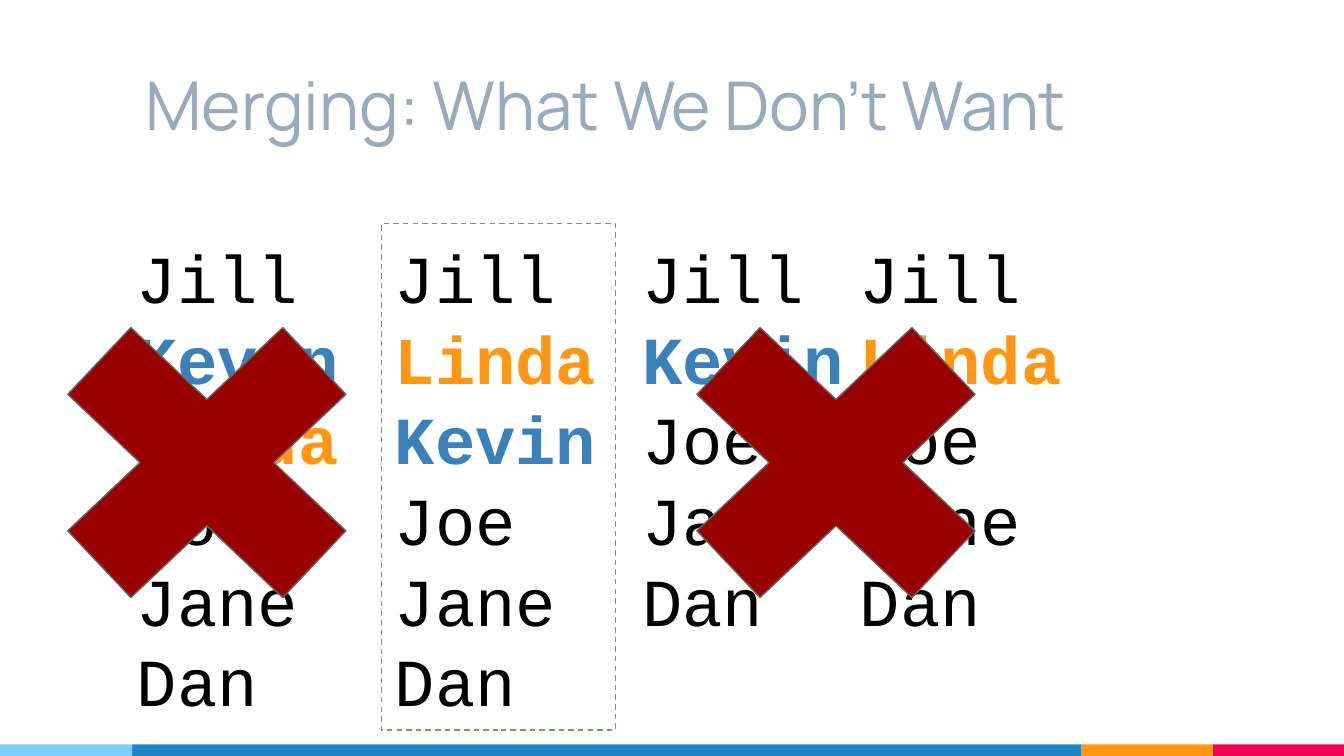
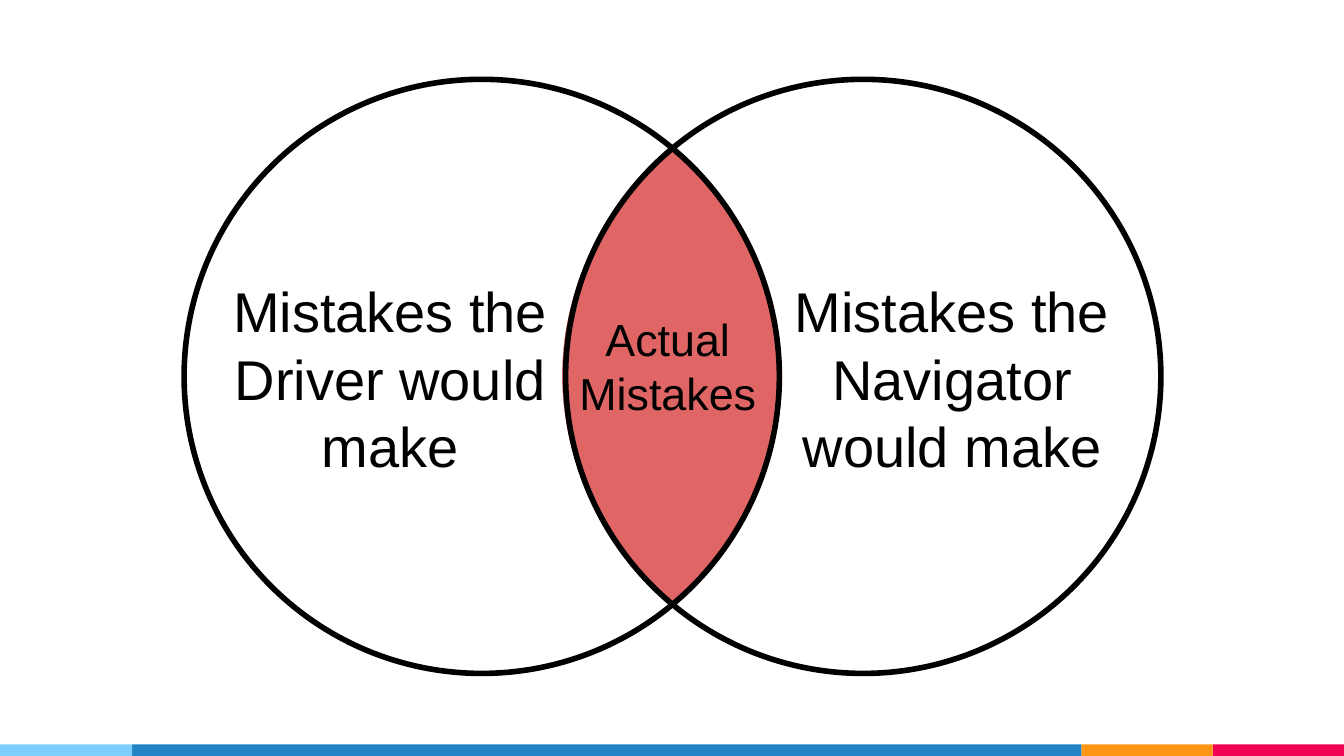
from pptx import Presentation
from pptx.dml.color import RGBColor
from pptx.enum import dml, shapes, text
from pptx.util import Cm, Pt

BLACK = RGBColor(0x00, 0x00, 0x00)
WHITE = RGBColor(0xFF, 0xFF, 0xFF)
SKY = RGBColor(0x7E, 0xCE, 0xFD)
BLUE = RGBColor(0x21, 0x85, 0xC5)
ORANGE = RGBColor(0xFF, 0x97, 0x15)
PINK = RGBColor(0xF2, 0x02, 0x53)
SLATE = RGBColor(0x97, 0xAB, 0xBC)
STEEL = RGBColor(0x3A, 0x81, 0xBA)
GREEN = RGBColor(0x6A, 0xA8, 0x4F)
MAROON = RGBColor(0x99, 0x00, 0x00)
GRAY = RGBColor(0x66, 0x66, 0x66)
CORAL = RGBColor(0xE0, 0x66, 0x66)

KIND = shapes.MSO_SHAPE
ALIGN = text.PP_ALIGN
ANCHOR = text.MSO_ANCHOR
WIDE, HIGH = 25.4, 14.29
TINTS = {"Kevin": STEEL, "Linda": ORANGE}


def draw(parent, kind, box, fill=None, line=None, width=0.75):
    """Add a preset shape, with sizes in centimetres."""
    shape = parent.add_shape(kind, *map(Cm, box))
    shape.shadow.inherit = False
    if fill is None:
        shape.fill.background()
    else:
        shape.fill.solid()
        shape.fill.fore_color.rgb = fill
    if line is None:
        shape.line.fill.background()
    else:
        shape.line.color.rgb = line
        shape.line.width = Pt(width)
    return shape


def frame(shape, anchor):
    """Set even insets, wrapping and anchor, and return the text frame."""
    body = shape.text_frame
    body.word_wrap = True
    body.auto_size = text.MSO_AUTO_SIZE.NONE
    body.vertical_anchor = anchor
    body.margin_left = body.margin_right = Cm(0.25)
    body.margin_top = body.margin_bottom = Cm(0.25)
    return body


def style(para, face, size, tint=BLACK, bold=False, align=ALIGN.LEFT):
    """Format a whole paragraph."""
    para.alignment = align
    para.font.name = face
    para.font.size = Pt(size)
    para.font.color.rgb = tint
    para.font.bold = bold


def bands(deck):
    """Lay the coloured bottom strip on the slide master."""
    slide = deck.slides.add_slide(deck.slide_layouts[5])
    tree = deck.slide_master.shapes.element
    left, tall = 0, 0.22
    for span, tint in ((2.5, SKY), (17.94, BLUE), (2.48, ORANGE), (2.48, PINK)):
        band = draw(slide.shapes, KIND.RECTANGLE,
                    (left, HIGH - tall, span, tall), tint)
        tree.insert(2, band.element)
        left += span
    return slide


def title(slide, words, box):
    """Fill and place the title."""
    shape = slide.shapes.title
    shape.left, shape.top, shape.width, shape.height = map(Cm, box)
    body = frame(shape, ANCHOR.BOTTOM)
    body.text = words
    style(body.paragraphs[0], "Manrope", 36, SLATE)


def names(shape, words):
    """Write one merged list of names."""
    body = frame(shape, ANCHOR.TOP)
    body.text = "\n".join(words.split())
    for para in body.paragraphs:
        tint = TINTS.get(para.text, BLACK)
        style(para, "Courier New", 36, tint, para.text in TINTS)


def merge(slide, left, top):
    """Show four merge results, one framed and the rest crossed out."""
    span, tall = 4.42, 7.37
    for step, words in ((0, "Jill Kevin Linda Joe Jane Dan"),
                        (13.66, "Jill Linda Joe Jane Dan"),
                        (9.55, "Jill Kevin Joe Jane Dan")):
        box = (left + step, top, span, tall)
        names(slide.shapes.add_textbox(*map(Cm, box)), words)
    pick = draw(slide.shapes, KIND.RECTANGLE,
                (left + 4.87, top, span, 9.58), line=GREEN)
    pick.line.dash_style = dml.MSO_LINE.DASH
    names(pick, "Jill Linda Kevin Joe Jane Dan")
    for step in (9.55, -2.34):
        cross = draw(slide.shapes, KIND.MATH_MULTIPLY,
                     (left + step, top + 0.83, 7.82, 7.39), MAROON, GRAY)
        cross.adjustments[0] = 0.235


def venn(slide, left, top):
    """Draw two overlapping circles with a coloured lens and labels."""
    group = slide.shapes.add_group_shape().shapes
    draw(group, KIND.OVAL, (left + 4.88, top + 1.27, 8.74, 8.74), CORAL)
    for step, flip in ((4.32, "0"), (7.87, "1")):
        moon = draw(group, KIND.MOON,
                    (left + step, top + 0.33, 6.22, 10.54), WHITE, WHITE)
        moon.adjustments[0] = 0.452
        moon.element.spPr.xfrm.set("flipH", flip)
    for step in (0, 7.21):
        draw(group, KIND.OVAL, (left + step, top, 11.25, 11.23),
             line=BLACK, width=3)
    for words, step, drop, span, size in (
            ("Mistakes the Driver would make", 0.48, 3.38, 6.83, 30),
            ("Mistakes the Navigator would make", 11.1, 3.38, 6.83, 30),
            ("Actual Mistakes", 6.65, 3.15, 4.98, 24)):
        box = (left + step, top + drop, span, 4.52)
        body = frame(group.add_textbox(*map(Cm, box)), ANCHOR.MIDDLE)
        body.text = words
        style(body.paragraphs[0], "Arial", size, align=ALIGN.CENTER)


def main():
    """Build and save the deck."""
    deck = Presentation()
    deck.slide_width, deck.slide_height = Cm(WIDE), Cm(HIGH)
    first = bands(deck)
    title(first, "Merging: What We Don't Want", (2.5, 0.58, 22.15, 2.39))
    merge(first, 2.34, 4.22)
    venn(deck.slides.add_slide(deck.slide_layouts[6]), 3.48, 1.5)
    deck.save("out.pptx")


if __name__ == "__main__":
    main()
